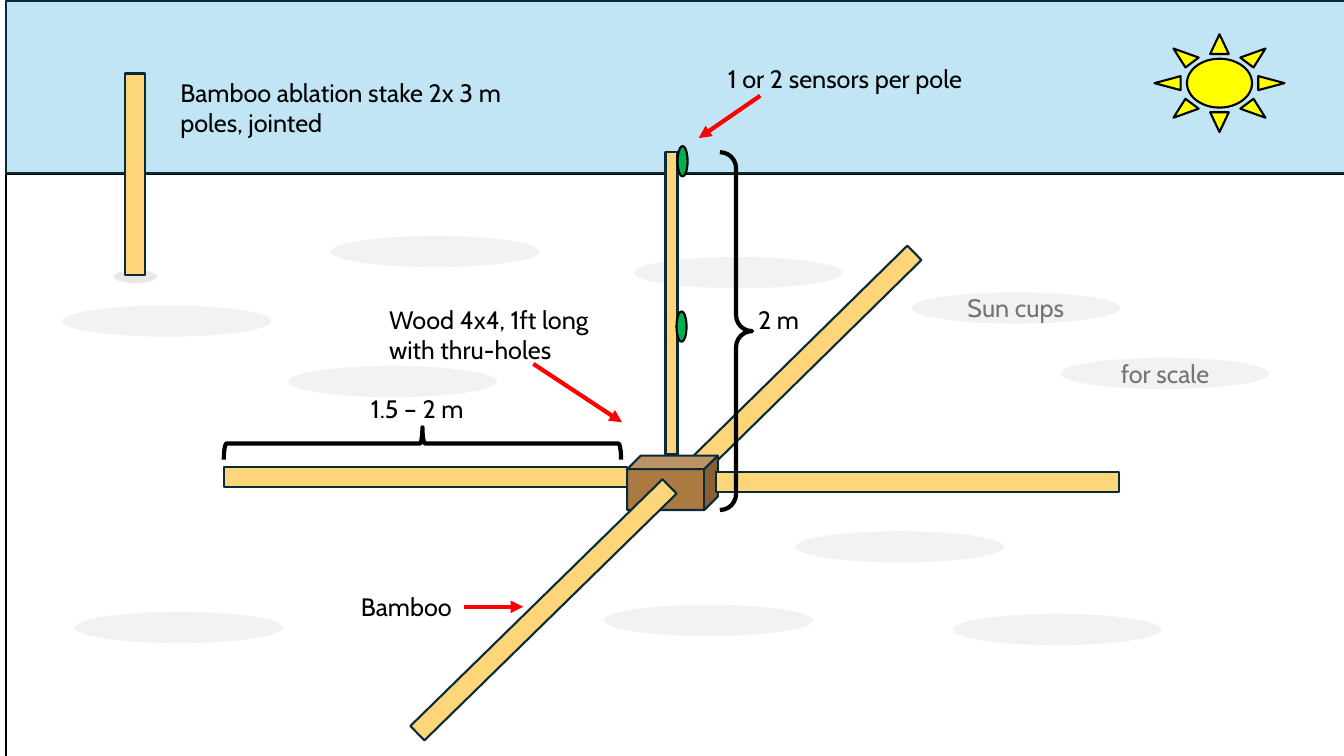
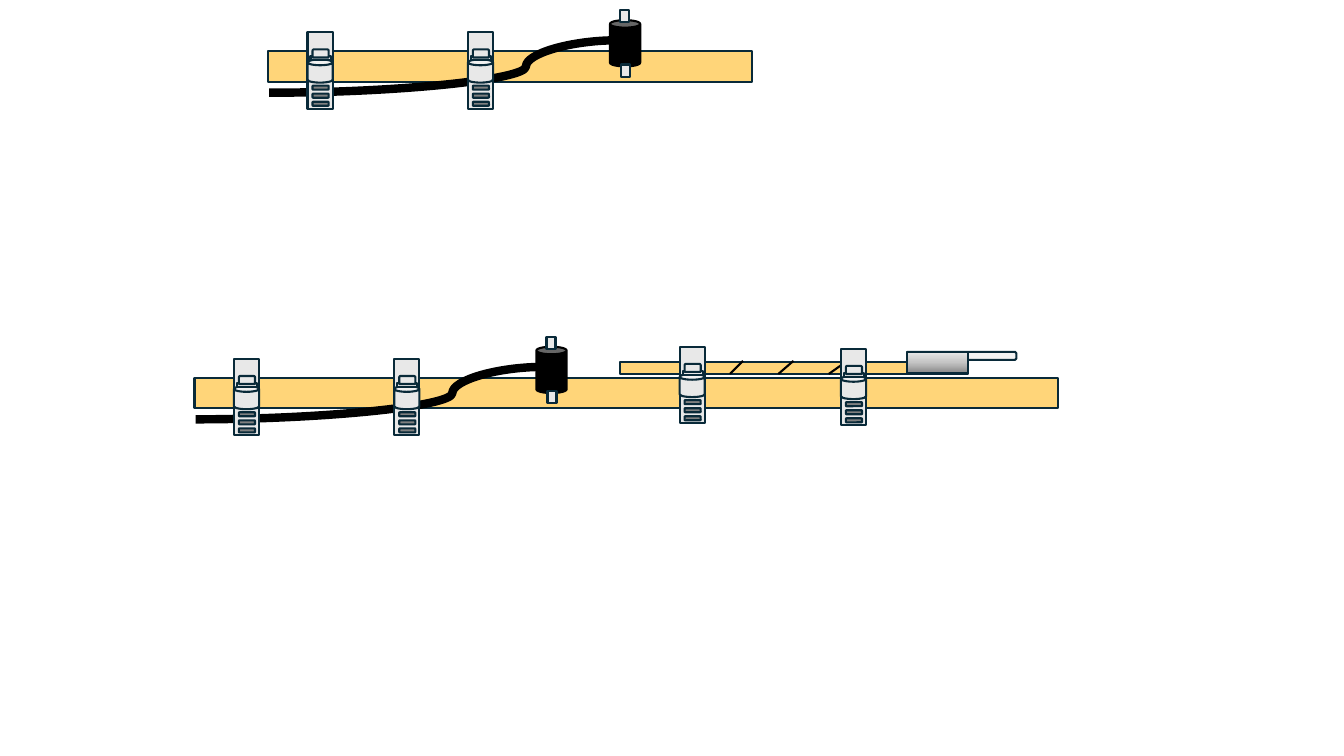
import copy
from lxml import etree
from pptx import Presentation
from pptx import util as u
from pptx.dml.color import RGBColor
from pptx.enum import shapes, text
from pptx.oxml import ns

BLACK = RGBColor(0x00, 0x00, 0x00)
WHITE = RGBColor(0xFF, 0xFF, 0xFF)
OUTLINE = RGBColor(0x09, 0x2A, 0x39)
BAMBOO = RGBColor(0xFF, 0xD5, 0x79)
WOOD = RGBColor(0xAB, 0x79, 0x42)
SKY = RGBColor(0xC1, 0xE5, 0xF5)
SUN = RGBColor(0xFF, 0xFF, 0x00)
GREEN = RGBColor(0x00, 0xB0, 0x50)
RED = RGBColor(0xFF, 0x00, 0x00)
SNOW = RGBColor(0xF2, 0xF2, 0xF2)
STEEL = RGBColor(0xE8, 0xE8, 0xE8)
SLOT = RGBColor(0x80, 0x80, 0x80)
CUP_TEXT = RGBColor(0x74, 0x74, 0x74)
HOLDER_STOPS = [
    (0, RGBColor(0x89, 0x89, 0x89)),
    (0.5, RGBColor(0xC4, 0xC4, 0xC4)),
    (1, STEEL),
]
FONT = "Cabin"
SIZE = u.Pt(18)
KIND = shapes.MSO_SHAPE
LINK = shapes.MSO_CONNECTOR


def draw_shape(parent, kind, box, fill, outline=OUTLINE, weight=1.5, rotation=0):
    shape = parent.add_shape(kind, *[u.Inches(length) for length in box])
    shape.shadow.inherit = False
    shape.rotation = rotation
    if fill is None:
        shape.fill.background()
    else:
        shape.fill.solid()
        shape.fill.fore_color.rgb = fill
    if outline is None:
        shape.line.fill.background()
    else:
        shape.line.color.rgb = outline
        shape.line.width = u.Pt(weight)
    return shape


def draw_line(parent, kind, ends, colour, weight):
    line = parent.add_connector(kind, *[u.Inches(length) for length in ends])
    line.line.color.rgb = colour
    line.line.width = u.Pt(weight)
    etree.SubElement(line._element.spPr, ns.qn("a:effectLst"))
    return line


deck = Presentation()
deck.slide_width = u.Inches(13.33)
deck.slide_height = u.Inches(7.5)
blank = deck.slide_layouts[6]

page = deck.slides.add_slide(blank).shapes
draw_shape(page, KIND.RECTANGLE, (0.06, 1.73, 13.33, 5.79), WHITE, BLACK)

sun_cups = [
    (6.29, 2.55, ""), (0.62, 3.03, ""), (7.89, 5.27, ""), (9.45, 6.09, ""),
    (2.86, 3.63, ""), (0.74, 6.07, ""), (3.28, 2.34, ""), (5.99, 6, ""),
    (9.04, 2.9, "Sun cups"), (10.52, 3.55, "for scale"),
]
for left, top, label in sun_cups:
    cup = draw_shape(page, KIND.OVAL, (left, top, 2.07, 0.31), SNOW, None)
    if label:
        cup.text_frame.vertical_anchor = text.MSO_ANCHOR.MIDDLE
        para = cup.text_frame.paragraphs[0]
        para.text = label
        para.alignment = text.PP_ALIGN.CENTER
        para.font.name = FONT
        para.font.size = SIZE
        para.font.color.rgb = CUP_TEXT

draw_shape(page, KIND.RECTANGLE, (0.06, 0.01, 13.33, 1.71), SKY)
draw_shape(page, KIND.SUN, (11.45, 0.34, 1.29, 0.97), SUN, BLACK)

draw_shape(page, KIND.RECTANGLE, (7.9, 2.06, 0.2, 3), BAMBOO, rotation=45.5)
draw_shape(page, KIND.CUBE, (6.22, 4.52, 0.9, 0.54), WOOD)
for pole in [(6.6, 1.51, 0.12, 3), (7.1, 4.68, 4, 0.2), (2.22, 4.63, 4, 0.2)]:
    draw_shape(page, KIND.RECTANGLE, pole, BAMBOO)
draw_shape(page, KIND.RECTANGLE, (5.29, 4.3, 0.2, 3.5), BAMBOO, rotation=45.6)
for left, top in [(6.72, 1.45), (6.71, 3.09)]:
    draw_shape(page, KIND.OVAL, (left, top, 0.1, 0.3), GREEN, BLACK)

draw_shape(page, KIND.OVAL, (1.13, 2.68, 0.43, 0.13), STEEL, None)
draw_shape(page, KIND.RECTANGLE, (1.24, 0.73, 0.2, 2), BAMBOO)

draw_shape(page, KIND.RIGHT_BRACE, (4.03, 2.43, 0.32, 3.94), None, BLACK, 3, 270)
height_brace = draw_shape(page, KIND.RIGHT_BRACE, (7.14, 1.51, 0.32, 3.55), None, BLACK, 3)
height_brace.adjustments[0] = 0.496

for ends in [(4.6, 6.02, 5.19, 6.02), (5.29, 3.61, 6.17, 4.19), (7.54, 0.95, 6.93, 1.37)]:
    arrow = draw_line(page, LINK.STRAIGHT, ends, RED, 3)
    stroke = arrow._element.spPr.find(ns.qn("a:ln"))
    etree.SubElement(stroke, ns.qn("a:tailEnd"), type="triangle")

labels = [
    ((3.48, 5.82, 1.12, 0.4), ["Bamboo"]),
    ((3.76, 2.97, 2.41, 0.71), ["Wood 4x4, 1ft long", "with thru-holes"]),
    ((7.12, 0.58, 3.17, 0.4), ["1 or 2 sensors per pole"]),
    ((1.69, 0.72, 3.86, 0.71), ["Bamboo ablation stake 2x 3 m poles, jointed"]),
    ((3.58, 3.85, 1.35, 0.4), ["1.5 – 2 m"]),
    ((7.42, 2.97, 1.35, 0.4), ["2 m"]),
]
for place, lines in labels:
    box = page.add_textbox(*[u.Inches(length) for length in place])
    box.text_frame.word_wrap = True
    box.text_frame.text = "\n".join(lines)
    for para in box.text_frame.paragraphs:
        para.font.name = FONT
        para.font.size = SIZE
        para.font.color.rgb = BLACK

page = deck.slides.add_slide(blank).shapes
clamps = [(8.34, 3.46), (6.74, 3.44)]
for left, top, length in [(2.66, 0.51, 4.8), (1.93, 3.75, 8.56)]:
    draw_shape(page, KIND.RECTANGLE, (left, top, length, 0.3), BAMBOO)
    sensor = page.add_group_shape().shapes
    ends = (left + 0.01, top + 0.41, left + 3.46, top - 0.11)
    cable = draw_line(sensor, LINK.CURVE, ends, BLACK, 6)
    guides = cable._element.spPr.find(ns.qn("a:prstGeom")).find(ns.qn("a:avLst"))
    etree.SubElement(guides, ns.qn("a:gd"), name="adj1", fmla="val 73800")
    draw_shape(sensor, KIND.CAN, (left + 3.39, top - 0.31, 0.3, 0.46), BLACK, BLACK)
    for across, down in [(3.49, -0.41), (3.5, 0.13)]:
        draw_shape(sensor, KIND.RECTANGLE, (left + across, top + down, 0.09, 0.12), STEEL)
    clamps += [(left + across, top - 0.19) for across in (0.39, 1.98)]

draw_shape(page, KIND.RECTANGLE, (6.15, 3.59, 3.45, 0.12), BAMBOO)
draw_shape(page, KIND.SNIP_2_SAME_RECTANGLE, (9.5, 2.99, 0.08, 1.08), SNOW, rotation=90)
holder = draw_shape(page, KIND.RECTANGLE, (9, 3.49, 0.6, 0.21), STEEL)
holder.fill.gradient()
holder.fill.gradient_angle = 90
stop_list = holder._element.spPr.find(ns.qn("a:gradFill")).find(ns.qn("a:gsLst"))
stop_list.append(copy.deepcopy(stop_list[0]))
for stop, (position, colour) in zip(holder.fill.gradient_stops, HOLDER_STOPS):
    stop.position = position
    stop.color.rgb = colour

for ends in [(7.72, 3.71, 7.87, 3.58), (8.22, 3.71, 8.39, 3.59), (7.24, 3.71, 7.37, 3.58)]:
    draw_line(page, LINK.STRAIGHT, ends, BLACK, 1.5)

clamp_parts = [
    (KIND.RECTANGLE, 0, 0, 0.25, 0.76, STEEL),
    (KIND.CAN, 0, 0.27, 0.25, 0.23, STEEL),
    (KIND.RECTANGLE, 0.03, 0.24, 0.2, 0.04, STEEL),
    (KIND.ROUND_2_SAME_RECTANGLE, 0.05, 0.17, 0.16, 0.08, STEEL),
]
clamp_parts += [
    (KIND.ROUNDED_RECTANGLE, 0.05, down, 0.16, 0.04, SLOT) for down in (0.53, 0.61, 0.69)
]
for left, top in clamps:
    clamp = page.add_group_shape().shapes
    for kind, across, down, width, height, fill in clamp_parts:
        draw_shape(clamp, kind, (left + across, top + down, width, height), fill)

deck.save("out.pptx")
